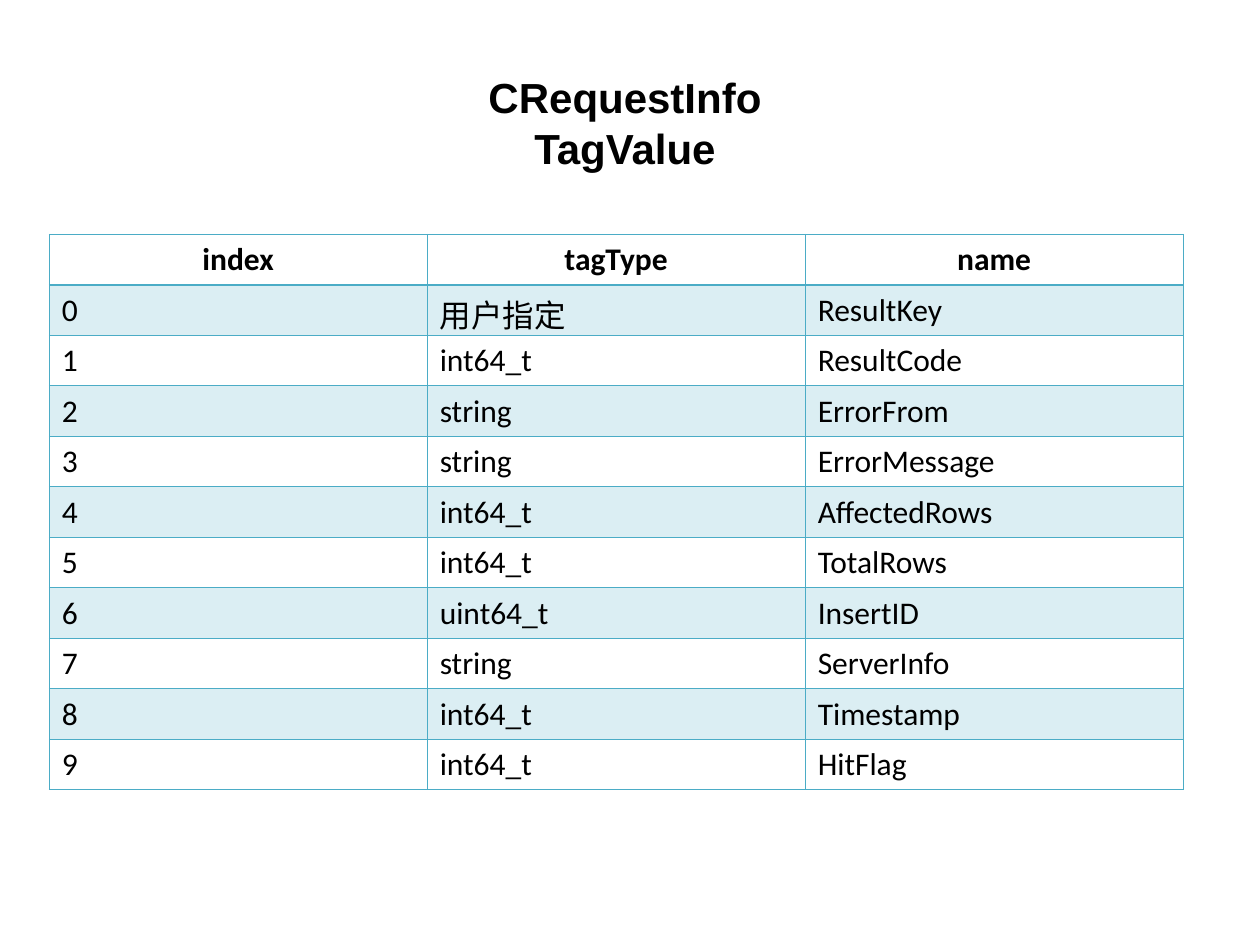
from pptx import Presentation, util as u
from pptx.dml.color import RGBColor
from pptx.enum import text
from pptx.oxml import parse_xml
from pptx.oxml.ns import nsdecls, qn
from lxml import etree

hues = {"ink": "000000", "teal": "4BACC6"}
rows = [
    ("index", "tagType", "name"),
    ("0", "用户指定", "ResultKey"),
    ("1", "int64_t", "ResultCode"),
    ("2", "string", "ErrorFrom"),
    ("3", "string", "ErrorMessage"),
    ("4", "int64_t", "AffectedRows"),
    ("5", "int64_t", "TotalRows"),
    ("6", "uint64_t", "InsertID"),
    ("7", "string", "ServerInfo"),
    ("8", "int64_t", "Timestamp"),
    ("9", "int64_t", "HitFlag"),
]


def write(frame, lines, font="Calibri", size=18, bold=False, center=False, before=0):
    for i, line in enumerate(lines):
        para = frame.add_paragraph() if i else frame.paragraphs[0]
        para.alignment = text.PP_ALIGN.CENTER if center else text.PP_ALIGN.LEFT
        para.space_before = u.Pt(before)
        run = para.add_run()
        run.text = line
        run.font.name = font
        run.font.size = u.Pt(size)
        run.font.bold = bold
        run.font.color.rgb = RGBColor.from_string(hues["ink"])


def edge(cell, widths):
    props = cell._tc.get_or_add_tcPr()
    for i, (side, width) in enumerate(widths.items()):
        props.insert(i, parse_xml(
            f'<a:ln{side} {nsdecls("a")} w="{u.Pt(width)}"><a:solidFill>'
            f'<a:srgbClr val="{hues["teal"]}"/></a:solidFill></a:ln{side}>'))


deck = Presentation()
deck.slide_width, deck.slide_height = u.Inches(10), u.Inches(7.5)
slide = deck.slides.add_slide(deck.slide_layouts[6])

title = slide.shapes.add_textbox(u.Inches(3.59), u.Inches(0.52), u.Inches(2.74), u.Inches(0.9))
title.text_frame.word_wrap = True
write(title.text_frame, ["CRequestInfo", "TagValue"], font="Arial", size=24, bold=True, center=True)

table = slide.shapes.add_table(len(rows), 3, u.Inches(0.39), u.Inches(1.86),
                               u.Inches(9), u.Inches(4.41)).table
table.horz_banding = False
for r, row in enumerate(rows):
    for c, word in enumerate(row):
        cell = table.cell(r, c)
        cell.vertical_anchor = text.MSO_ANCHOR.MIDDLE
        write(cell.text_frame, [word], bold=r == 0, center=r == 0, before=4.5)
        if r % 2:
            cell.fill.solid()
            cell.fill.fore_color.rgb = RGBColor.from_string(hues["teal"])
            tint = cell._tc.tcPr.find(".//" + qn("a:srgbClr"))
            etree.SubElement(tint, qn("a:alpha"), val="20000")
        else:
            cell.fill.background()
        edge(cell, {"L": 0.45, "R": 0.45, "T": 0.96 if r == 1 else 0.45, "B": 0.96 if r == 0 else 0.45})

deck.save("out.pptx")
